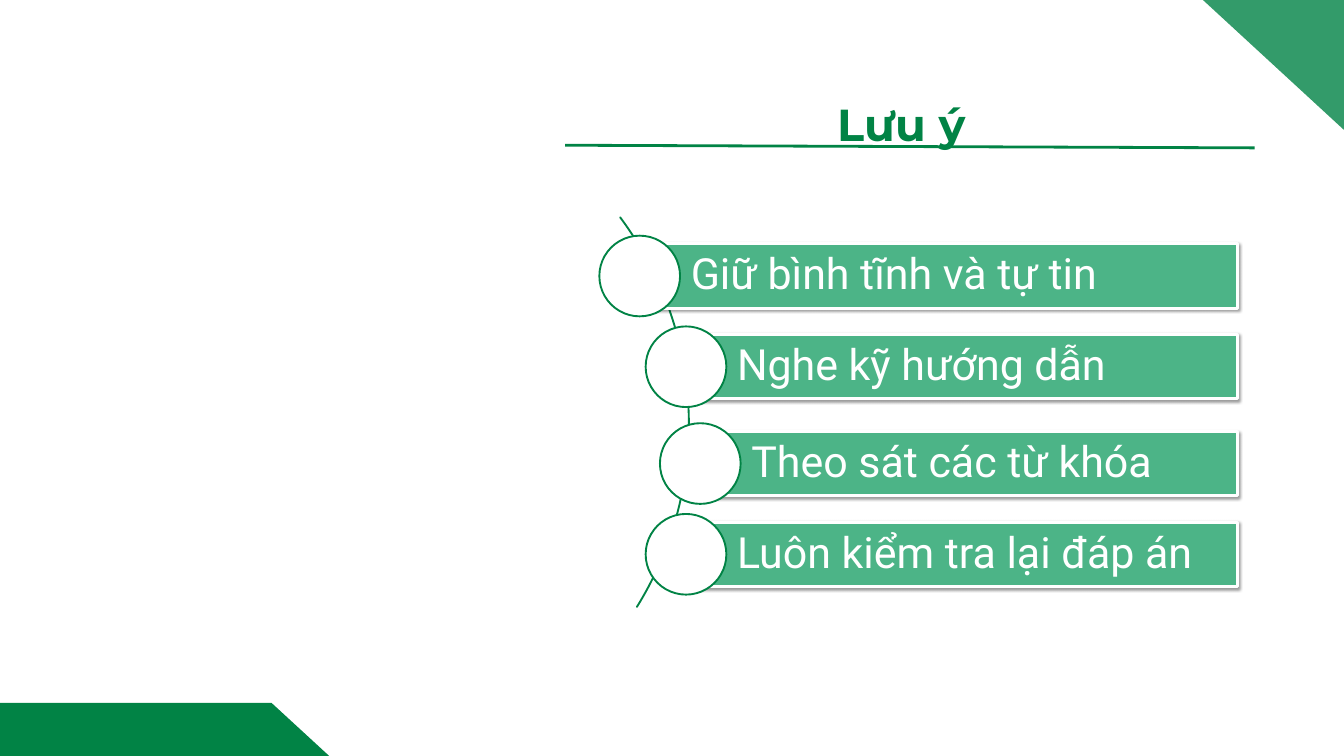
from lxml import etree
from pptx import Presentation
from pptx import util as u
from pptx.dml.color import RGBColor
from pptx.enum import shapes, text
from pptx.oxml.ns import qn

GREEN, MINT, WHITE = "018345", "4CB487", "FFFFFF"


def style(shape, fill=None, line=None, width=0):
    """Give a shape its fill and outline as hex colours, without a shadow."""
    shape.shadow.inherit = False
    if fill:
        shape.fill.solid()
        shape.fill.fore_color.rgb = RGBColor.from_string(fill)
    else:
        shape.fill.background()
    if line:
        shape.line.color.rgb = RGBColor.from_string(line)
        shape.line.width = u.Pt(width)
    else:
        shape.line.fill.background()


def write(shape, words, font, size, color, bold, spacing, align):
    paragraph = shape.text_frame.paragraphs[0]
    paragraph.alignment = align
    paragraph.line_spacing = spacing
    paragraph.space_before = u.Pt(0)
    run = paragraph.add_run()
    run.text = words
    run.font.name = font
    run.font.size = u.Pt(size)
    run.font.bold = bold
    run.font.color.rgb = RGBColor.from_string(color)


presentation = Presentation()
presentation.slide_width = u.Cm(50.8)
presentation.slide_height = u.Cm(28.58)
slide = presentation.slides.add_slide(presentation.slide_layouts[5])

# Corner decorations: triangle at top right, trapezoid at bottom left
corners = [
    [(43.84, -1.5), (65.18, -1.5), (54.51, 8.33)],
    [(-3.28, 26.57), (10.26, 26.57), (14.53, 30.5), (-7.54, 30.5)],
]
corner_shapes = []
for corner in corners:
    points = [(u.Cm(x), u.Cm(y)) for x, y in corner]
    builder = slide.shapes.build_freeform(*points[0])
    builder.add_line_segments(points[1:], close=True)
    shape = builder.convert_to_shape()
    style(shape, GREEN)
    corner_shapes.append(shape)
triangle_color = next(corner_shapes[0].element.spPr.iter(qn("a:srgbClr")))
etree.SubElement(triangle_color, qn("a:alpha"), val="80000")

# Title
title = slide.shapes.title
title.left, title.top = u.Cm(19.08), u.Cm(2.54)
title.width, title.height = u.Cm(29.97), u.Cm(2.06)
frame = title.text_frame
frame.margin_left = frame.margin_right = frame.margin_top = frame.margin_bottom = 0
frame.vertical_anchor = text.MSO_ANCHOR.TOP
frame.word_wrap = True
frame.auto_size = text.MSO_AUTO_SIZE.SHAPE_TO_FIT_TEXT
write(title, "Lưu ý", "Montserrat", 48, GREEN, True, 1.55, text.PP_ALIGN.CENTER)

# Arc behind the list
arc = slide.shapes.add_shape(
    shapes.MSO_SHAPE.BLOCK_ARC, u.Cm(-0.15), u.Cm(2.95), u.Cm(26.19), u.Cm(26.19))
for index, value in enumerate((193.974, 19.082, 0)):
    arc.adjustments[index] = value
style(arc, line=GREEN, width=2)

# Rule under the title
rule = slide.shapes.add_connector(
    shapes.MSO_CONNECTOR.STRAIGHT, u.Cm(21.36), u.Cm(5.49), u.Cm(47.42), u.Cm(5.59))
rule.line.color.rgb = RGBColor.from_string(GREEN)
rule.line.width = u.Pt(3)
etree.SubElement(rule.element.spPr, qn("a:effectLst"))

# List: each bar starts at the centre of its circle and ends at a common right edge
bar_right, bar_height, diameter = 46.79, 2.43, 3.05
items = [
    ("Giữ bình tĩnh và tự tin", 24.18, 9.22),
    ("Nghe kỹ hướng dẫn", 25.93, 12.65),
    ("Theo sát các từ khóa", 26.47, 16.31),
    ("Luôn kiểm tra lại đáp án", 25.93, 19.74),
]
for words, left, top in items:
    bar = slide.shapes.add_shape(
        shapes.MSO_SHAPE.RECTANGLE,
        u.Cm(left), u.Cm(top), u.Cm(bar_right - left), u.Cm(bar_height))
    style(bar, MINT, WHITE, 3)
    shadow = etree.SubElement(
        bar.element.spPr.find(qn("a:effectLst")), qn("a:outerShdw"),
        blurRad="40000", dist="20000", dir="5400000", rotWithShape="0")
    shadow_color = etree.SubElement(shadow, qn("a:srgbClr"), val="000000")
    etree.SubElement(shadow_color, qn("a:alpha"), val="38000")

    frame = bar.text_frame
    frame.margin_left = u.Cm(1.93)
    frame.margin_right = frame.margin_top = frame.margin_bottom = u.Cm(0.33)
    frame.vertical_anchor = text.MSO_ANCHOR.MIDDLE
    frame.word_wrap = True
    write(bar, words, "Roboto", 46, WHITE, False, 0.9, text.PP_ALIGN.LEFT)

    circle = slide.shapes.add_shape(
        shapes.MSO_SHAPE.OVAL,
        u.Cm(left - diameter / 2), u.Cm(top + (bar_height - diameter) / 2),
        u.Cm(diameter), u.Cm(diameter))
    style(circle, WHITE, GREEN, 2)

presentation.save("out.pptx")
